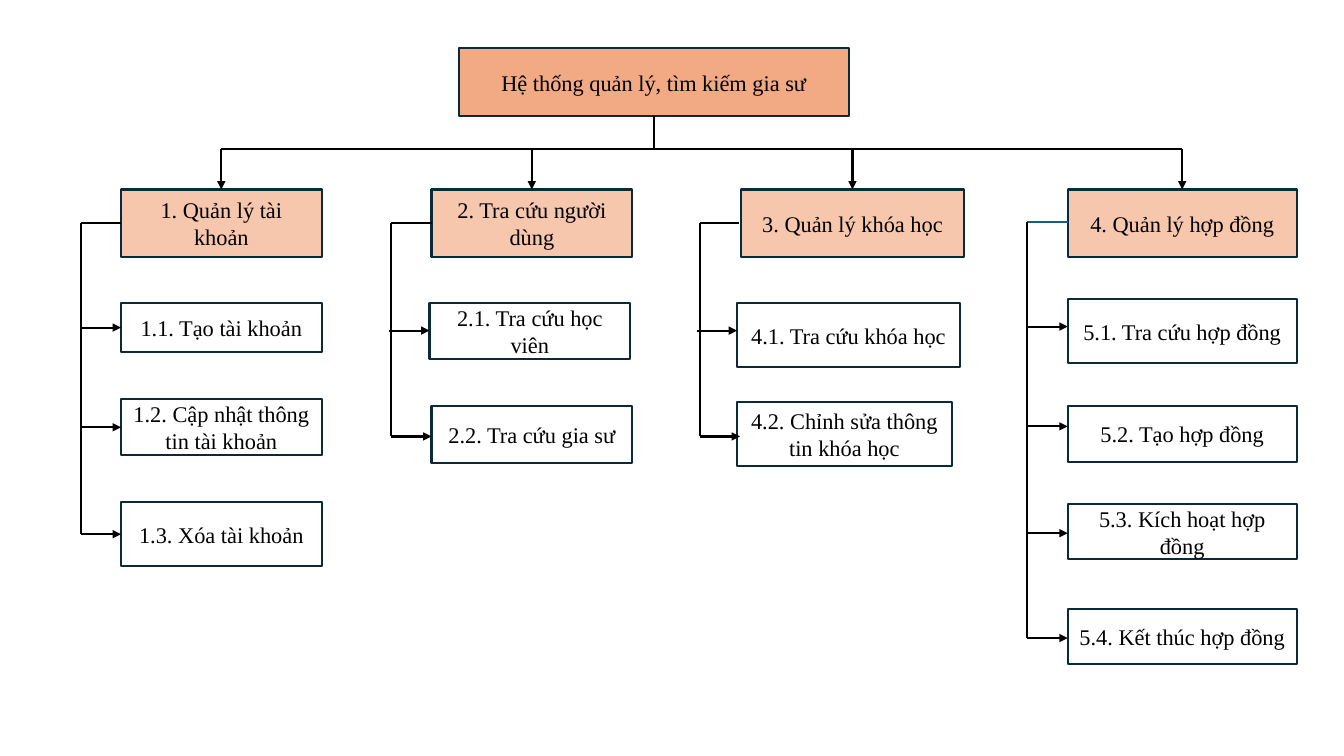
from lxml import etree
from pptx import Presentation
from pptx import util as u
from pptx.dml.color import RGBColor
from pptx.enum import shapes, text
from pptx.oxml.ns import qn

# Content: lengths in px, 100 px to the inch
PX = 9144
SLIDE_SIZE = (1333, 750)
FONT, FONT_SIZE = "Times New Roman", 16
ROOT_FILL, BRANCH_FILL, LEAF_FILL = "F2AA84", "F6C6AD", "FFFFFF"
BORDER, BLACK, BLUE = "092A39", "000000", "156082"

ROOT = ("Hệ thống quản lý, tìm kiếm gia sư", 455, 48, 387, 67)
BUS_Y = 148
BRANCH_TOP, BRANCH_HEIGHT = 188, 67
ARROW_LENGTH = 40

# Leaves: text, left, top, width, height, arrow start, arrow y
BRANCHES = [
    {"text": "1. Quản lý tài khoản", "left": 120, "width": 199,
     "spine": 80, "stub": (120, 221, BLACK),
     "leaves": [
         ("1.1. Tạo tài khoản", 120, 301, 199, 48, 80, 325),
         ("1.2. Cập nhật thông tin tài khoản", 120, 396, 199, 55, 80, 424),
         ("1.3. Xóa tài khoản", 120, 498, 199, 64, 80, 530)]},
    {"text": "2. Tra cứu người dùng", "left": 428, "width": 199,
     "spine": 388, "stub": (428, 221, BLACK),
     "leaves": [
         ("2.1. Tra cứu học viên", 426, 301, 199, 55, 386, 328),
         ("2.2. Tra cứu gia sư", 428, 403, 199, 56, 388, 433)]},
    {"text": "3. Quản lý khóa học", "left": 735, "width": 221,
     "spine": 694, "stub": (733, 221, BLACK),
     "leaves": [
         ("4.1. Tra cứu khóa học", 731, 301, 221, 63, 691, 328),
         ("4.2. Chỉnh sửa thông tin khóa học", 731, 399, 213, 63, 694, 433)]},
    {"text": "4. Quản lý hợp đồng", "left": 1059, "width": 227,
     "spine": 1019, "stub": (1059, 220, BLUE),
     "leaves": [
         ("5.1. Tra cứu hợp đồng", 1059, 297, 227, 63, 1019, 324),
         ("5.2. Tạo hợp đồng", 1059, 403, 227, 55, 1019, 423),
         ("5.3. Kích hoạt hợp đồng", 1059, 500, 227, 55, 1019, 529),
         ("5.4. Kết thúc hợp đồng", 1059, 604, 227, 55, 1019, 633)]},
]


def emu(px):
    return u.Emu(round(px * PX))


def color(value):
    return RGBColor.from_string(value)


def add_box(slide, label, left, top, width, height, fill):
    shape = slide.shapes.add_shape(
        shapes.MSO_SHAPE.RECTANGLE, *map(emu, (left, top, width, height)))
    shape.shadow.inherit = False
    shape.fill.solid()
    shape.fill.fore_color.rgb = color(fill)
    shape.line.color.rgb = color(BORDER)
    shape.line.width = u.Pt(1.5)
    frame = shape.text_frame
    frame.word_wrap = True
    frame.vertical_anchor = text.MSO_ANCHOR.MIDDLE
    paragraph = frame.paragraphs[0]
    paragraph.alignment = text.PP_ALIGN.CENTER
    run = paragraph.add_run()
    run.text = label
    run.font.name = FONT
    run.font.size = u.Pt(FONT_SIZE)
    run.font.color.rgb = color(BLACK)


def add_line(slide, x1, y1, x2, y2, stroke=BLACK, arrow=False):
    connector = slide.shapes.add_connector(
        shapes.MSO_CONNECTOR.STRAIGHT, *map(emu, (x1, y1, x2, y2)))
    connector.line.color.rgb = color(stroke)
    connector.line.width = u.Pt(1.5)
    properties = connector._element.spPr
    if arrow:
        etree.SubElement(properties.find(qn("a:ln")), qn("a:tailEnd"), type="triangle")
    etree.SubElement(properties, qn("a:effectLst"))


def center(left, width):
    return left + width / 2


def main():
    presentation = Presentation()
    presentation.slide_width, presentation.slide_height = map(emu, SLIDE_SIZE)
    slide = presentation.slides.add_slide(presentation.slide_layouts[6])

    # Boxes: root, branches, leaves
    add_box(slide, *ROOT, ROOT_FILL)
    for branch in BRANCHES:
        add_box(slide, branch["text"], branch["left"], BRANCH_TOP,
                branch["width"], BRANCH_HEIGHT, BRANCH_FILL)
        for *box, _, _ in branch["leaves"]:
            add_box(slide, *box, LEAF_FILL)

    # Trunk and horizontal bus from the root to the branches
    _, left, top, width, height = ROOT
    root_x = center(left, width)
    branch_xs = [center(branch["left"], branch["width"]) for branch in BRANCHES]
    add_line(slide, root_x, top + height, root_x, BUS_Y)
    add_line(slide, branch_xs[0], BUS_Y, branch_xs[-1], BUS_Y)
    for x in branch_xs:
        add_line(slide, x, BUS_Y, x, BRANCH_TOP, arrow=True)

    # Stub, spine and leaf arrows of each branch
    for branch in BRANCHES:
        spine = branch["spine"]
        stub_x, stub_y, stroke = branch["stub"]
        last_y = branch["leaves"][-1][-1]
        add_line(slide, stub_x, stub_y, spine, stub_y, stroke)
        add_line(slide, spine, stub_y, spine, last_y)
        for *_, start, y in branch["leaves"]:
            add_line(slide, start, y, start + ARROW_LENGTH, y, arrow=True)

    presentation.save("out.pptx")


if __name__ == "__main__":
    main()
